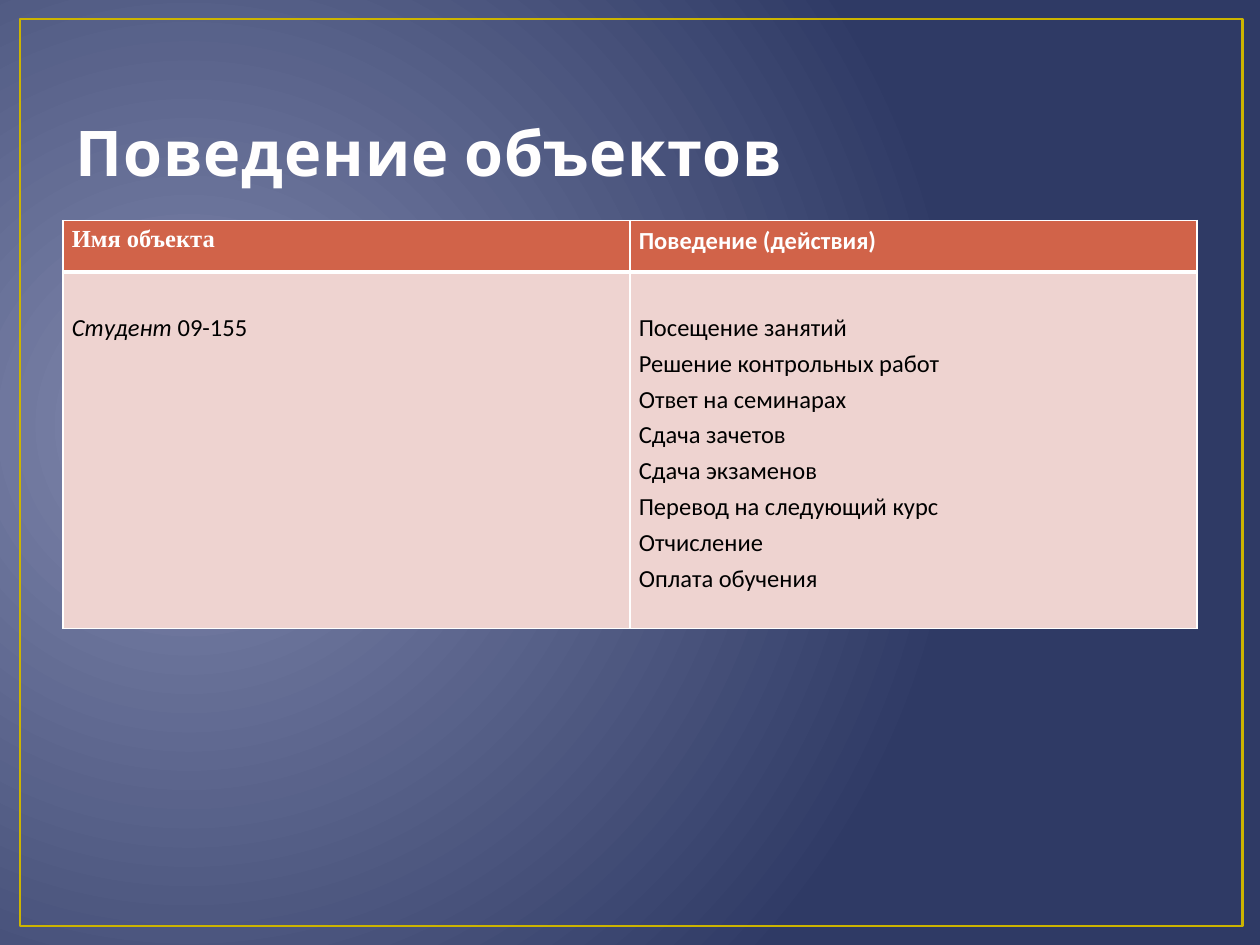
from lxml import etree
from pptx import Presentation
from pptx.dml.color import RGBColor
from pptx.enum.shapes import MSO_SHAPE
from pptx.enum.text import MSO_ANCHOR, MSO_AUTO_SIZE, PP_ALIGN
from pptx.oxml.ns import qn
from pptx.util import Inches, Pt

RECT = MSO_SHAPE.RECTANGLE
LOW = MSO_ANCHOR.BOTTOM
LEFT = PP_ALIGN.LEFT
FIXED = MSO_AUTO_SIZE.NONE
WIDE, HIGH = 10, 7.5
HEAD = [[("Имя объекта", {"name": "Times New Roman"})]], [[("Поведение (действия)", {})]]
NAME = [[("Студент ", {"italic": True}), ("09-155", {})]]
ACTS = [
    "Посещение занятий", "Решение контрольных работ", "Ответ на семинарах",
    "Сдача зачетов", "Сдача экзаменов", "Перевод на следующий курс",
    "Отчисление", "Оплата обучения",
]


def tint(code):
    """Turn a hex string into a colour."""
    return RGBColor.from_string(code)


class Deck:
    """Hold the style and the current slide."""

    head = {"name": "Calibri", "size": Pt(14), "bold": True, "color": "FFFFFF"}
    body = head | {"bold": False, "color": "000000"}
    title = head | {"name": "Cabin", "size": Pt(36), "color": "FFFEFE"}
    rule = "FFFFFF"

    def __init__(self):
        """Open a deck with one title-only slide."""
        self.file = Presentation()
        self.file.slide_width, self.file.slide_height = Inches(WIDE), Inches(HIGH)
        self.slide = self.file.slides.add_slide(self.file.slide_layouts[5])

    def style(self, font, form):
        """Set font values from a dict."""
        for key, value in form.items():
            if key == "color":
                font.color.rgb = tint(value)
            else:
                setattr(font, key, value)

    def glow(self, inner, outer, focus):
        """Fill the background with a round gradient."""
        fill = self.slide.background.fill
        fill.gradient()
        for stop, code in zip(fill.gradient_stops, (inner, outer)):
            stop.color.rgb = tint(code)
        grad = self.slide.element.find(".//" + qn("a:gradFill"))
        grad.remove(grad.find(qn("a:lin")))
        way = etree.SubElement(grad, qn("a:path"), path="circle")
        sides = {side: str(share * 1000) for side, share in zip("ltrb", focus)}
        etree.SubElement(way, qn("a:fillToRect"), sides)

    def frame(self, x, y, w, h, code, size):
        """Draw an empty outlined box."""
        box = self.slide.shapes.add_shape(RECT, *map(Inches, (x, y, w, h)))
        box.shadow.inherit = False
        box.fill.background()
        box.line.color.rgb = tint(code)
        box.line.width = Pt(size)

    def name(self, text, x, y, w, h):
        """Place and format the title."""
        box = self.slide.shapes.title
        box.left, box.top, box.width, box.height = map(Inches, (x, y, w, h))
        frame = box.text_frame
        frame.auto_size, frame.vertical_anchor = FIXED, LOW
        para = frame.paragraphs[0]
        para.alignment = LEFT
        run = para.add_run()
        run.text = text
        self.style(run.font, self.title)
        run.font._element.set("spc", "50")

    def edge(self, cell, base):
        """Draw the four borders of a cell."""
        props = cell._tc.get_or_add_tcPr()
        for spot, side in enumerate("LRTB"):
            size = base if side == "B" else 1
            line = etree.Element(qn("a:ln" + side), w=str(Pt(size)))
            fill = etree.SubElement(line, qn("a:solidFill"))
            etree.SubElement(fill, qn("a:srgbClr"), val=self.rule)
            props.insert(spot, line)

    def cell(self, cell, lines, form, code, top, base):
        """Fill one cell with styled lines."""
        cell.fill.solid()
        cell.fill.fore_color.rgb = tint(code)
        cell.margin_left = cell.margin_right = Inches(0.07)
        cell.margin_top, cell.margin_bottom = Inches(top), 0
        self.edge(cell, base)
        frame = cell.text_frame
        for spot, runs in enumerate(lines):
            para = frame.add_paragraph() if spot else frame.paragraphs[0]
            para.line_spacing = 1.2
            for text, extra in runs:
                run = para.add_run()
                run.text = text
                self.style(run.font, form | extra)

    def grid(self, rows, x, y, w, highs):
        """Build a table of equal columns."""
        cols = len(rows[0][0])
        place = map(Inches, (x, y, w, sum(highs)))
        table = self.slide.shapes.add_table(len(rows), cols, *place).table
        for r, (cells, *look) in enumerate(rows):
            table.rows[r].height = Inches(highs[r])
            for c, lines in enumerate(cells):
                self.cell(table.cell(r, c), lines, *look)


def main():
    """Build and save the slide."""
    deck = Deck()
    deck.glow("8189AE", "2F3A65", (15, 50, 85, 60))
    deck.frame(0.16, 0.15, 9.7, 7.2, "CCB400", 1.5)
    edge, wide = WIDE * 0.05, WIDE * 0.9
    deck.name("Поведение объектов", edge, 0.3, wide, 1.25)
    acts = [[(act, {})] for act in ACTS]
    rows = [
        (HEAD, deck.head, "D16349", 0, 3),
        ((NAME, acts), deck.body, "EED3D0", 0.28, 1),
    ]
    deck.grid(rows, edge, 1.75, wide, (0.41, 2.83))
    deck.file.save("out.pptx")


if __name__ == "__main__":
    main()
